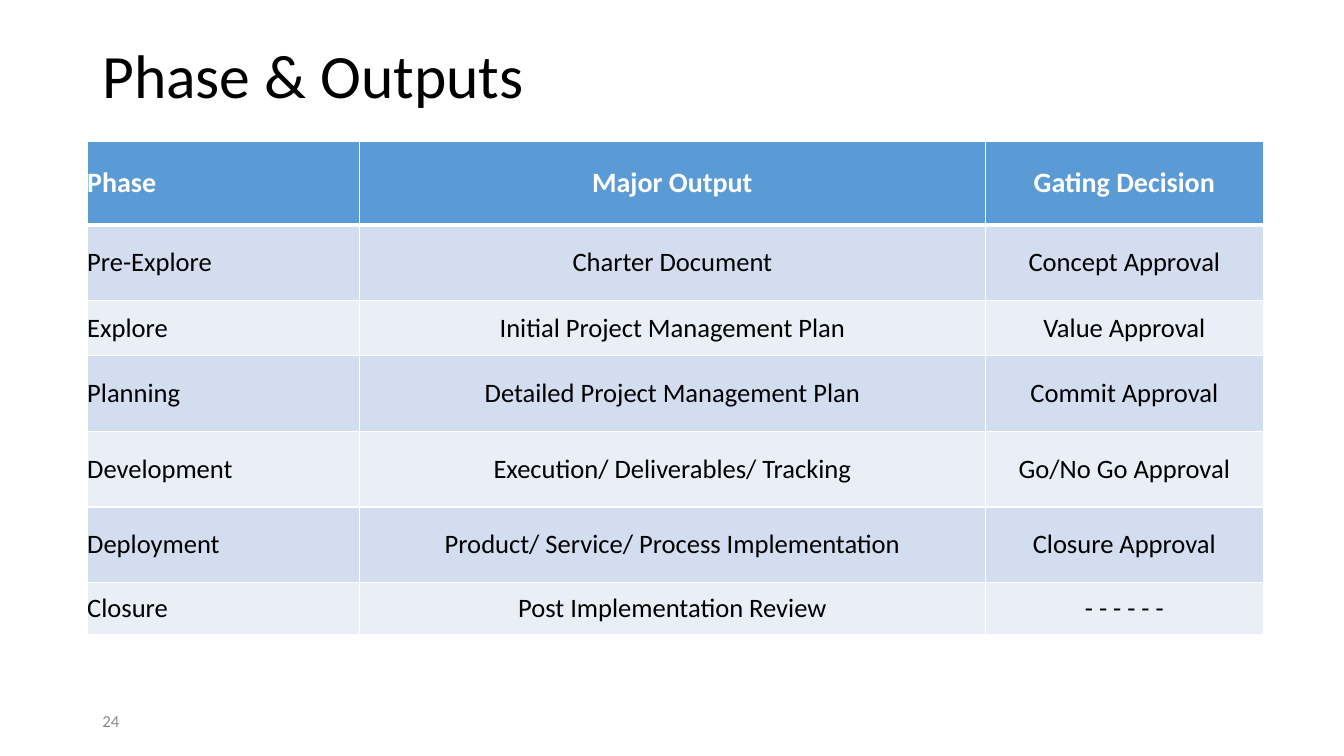
from dataclasses import dataclass

from lxml import etree
from pptx import Presentation
from pptx.dml.color import RGBColor
from pptx.enum import text
from pptx.oxml import ns
from pptx.util import Pt

FONT = "Calibri"
BLACK = RGBColor(0x00, 0x00, 0x00)
WHITE = RGBColor(0xFF, 0xFF, 0xFF)
GREY = RGBColor(0x8C, 0x8C, 0x8C)
HEADER_BLUE = RGBColor(0x5B, 0x9B, 0xD5)
BANDS = (RGBColor(0xD2, 0xDE, 0xEF), RGBColor(0xEA, 0xEF, 0xF7))
LEFT, CENTER = text.PP_ALIGN.LEFT, text.PP_ALIGN.CENTER
TOP, MIDDLE = text.MSO_ANCHOR.TOP, text.MSO_ANCHOR.MIDDLE


@dataclass(frozen=True)
class Column:
    heading: str
    width: float
    align: text.PP_ALIGN


@dataclass(frozen=True)
class Phase:
    name: str
    output: str
    decision: str
    height: float


@dataclass(frozen=True)
class Label:
    content: str
    left: float
    top: float
    width: float
    height: float
    size: float
    color: RGBColor
    anchor: text.MSO_ANCHOR
    spacing: float


COLUMNS = (
    Column("Phase", 194.4, LEFT),
    Column("Major Output", 447.1, CENTER),
    Column("Gating Decision", 198.7, CENTER),
)
PHASES = (
    Phase("Pre-Explore", "Charter Document", "Concept Approval", 54),
    Phase("Explore", "Initial Project Management Plan", "Value Approval", 39.6),
    Phase("Planning", "Detailed Project Management Plan", "Commit Approval", 54),
    Phase("Development", "Execution/ Deliverables/ Tracking", "Go/No Go Approval", 54),
    Phase("Deployment", "Product/ Service/ Process Implementation", "Closure Approval", 54),
    Phase("Closure", "Post Implementation Review", "- - - - - -", 37.4),
)
HEADER_HEIGHT = 59.8
LABELS = (
    Label("Phase & Outputs", 66, 28.8, 828, 104.4, 44, BLACK, TOP, 0.9),
    Label("24", 66, 500.5, 216, 28.8, 12, GREY, MIDDLE, 1.0),
)


def format_text(p, size: float, color: RGBColor, bold: bool = False) -> None:
    for r in p.runs:
        r.font.name = FONT
        r.font.size = Pt(size)
        r.font.bold = bold
        r.font.color.rgb = color


def add_label(s, label: Label) -> None:
    sp = s.shapes.add_textbox(
        Pt(label.left), Pt(label.top), Pt(label.width), Pt(label.height)
    )
    tf = sp.text_frame
    tf.word_wrap = True
    tf.vertical_anchor = label.anchor
    tf.text = label.content
    p = tf.paragraphs[0]
    p.line_spacing = label.spacing
    format_text(p, label.size, label.color)


def add_borders(cell, top: float, bottom: float) -> None:
    tc_pr = cell._tc.get_or_add_tcPr()
    for side, width in (("L", 1), ("R", 1), ("T", top), ("B", bottom)):
        ln = etree.SubElement(tc_pr, ns.qn(f"a:ln{side}"), w=str(Pt(width)))
        fill = etree.SubElement(ln, ns.qn("a:solidFill"))
        etree.SubElement(fill, ns.qn("a:srgbClr"), val=str(WHITE))


def fill_cell(cell, content: str, align: text.PP_ALIGN, row: int) -> None:
    header = row == 0
    cell.margin_left = cell.margin_right = Pt(0)
    cell.margin_top = cell.margin_bottom = Pt(3.6)
    cell.vertical_anchor = MIDDLE
    add_borders(cell, 3 if row == 1 else 1, 3 if header else 1)
    cell.fill.solid()
    cell.fill.fore_color.rgb = HEADER_BLUE if header else BANDS[(row - 1) % 2]
    cell.text_frame.text = content
    p = cell.text_frame.paragraphs[0]
    p.alignment = align
    format_text(p, 20 if header else 19, WHITE if header else BLACK, header)


def add_phase_table(s, left: float, top: float) -> None:
    rows = [[c.heading for c in COLUMNS]]
    rows += [[ph.name, ph.output, ph.decision] for ph in PHASES]
    heights = [HEADER_HEIGHT] + [ph.height for ph in PHASES]
    width = sum(c.width for c in COLUMNS)
    table = s.shapes.add_table(
        len(rows), len(COLUMNS), Pt(left), Pt(top), Pt(width), Pt(sum(heights))
    ).table
    for i, column in enumerate(COLUMNS):
        table.columns[i].width = Pt(column.width)
    for row, (contents, height) in enumerate(zip(rows, heights)):
        table.rows[row].height = Pt(height)
        for i, content in enumerate(contents):
            fill_cell(table.cell(row, i), content, COLUMNS[i].align, row)


def main() -> None:
    prs = Presentation()
    prs.slide_width, prs.slide_height = Pt(960), Pt(540)
    s = prs.slides.add_slide(prs.slide_layouts[6])
    title, number = LABELS
    add_label(s, title)
    add_phase_table(s, 62.3, 100.8)
    add_label(s, number)
    prs.save("out.pptx")


if __name__ == "__main__":
    main()
